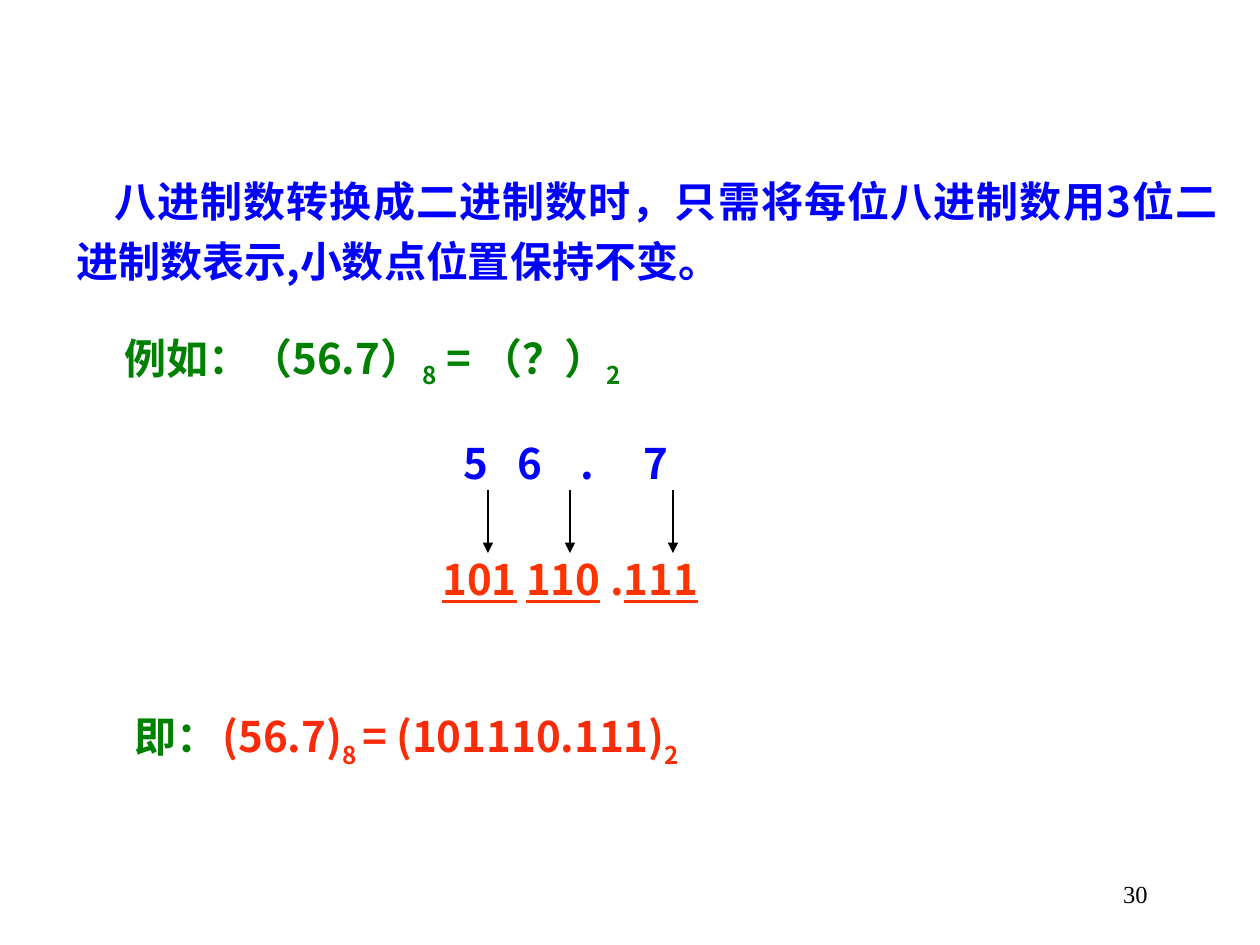
"""Build a slide on converting octal numbers to binary."""
import pptx
import pptx.util
import pptx.dml.color
import pptx.enum.shapes
import pptx.enum.text
import pptx.oxml.ns
from lxml import etree

RGB = pptx.dml.color.RGBColor
BLACK = RGB(0, 0, 0)
BLUE = RGB(0, 0, 255)
GREEN = RGB(0, 128, 0)
ORANGE = RGB(255, 51, 0)
RED = RGB(250, 43, 8)
ALIGN = pptx.enum.text.PP_ALIGN
SANS, SERIF = "Noto Sans CJK SC", "Times New Roman"

SUB_25, SUB_30 = {"baseline": -25000}, {"baseline": -30000}
UNDERLINE = {"underline": True}
RULE = "八进制数转换成二进制数时，只需将每位八进制数用3位二进制数表示,小数点位置保持不变。"

TEXTS = [
    ([("30", {})], (903, 862, 257, 63),
     dict(size=14, font=SERIF, color=BLACK, bold=False, align=ALIGN.RIGHT,
          anchor=pptx.enum.text.MSO_ANCHOR.MIDDLE)),
    ([("5\t6\t.\t7", {})], (442, 431, 451, 63),
     dict(color=BLUE, indent=9, tabs=(62, 104, 128))),
    ([("101", UNDERLINE), (" ", {}), ("110", UNDERLINE), (" .", {}), ("111", UNDERLINE)],
     (421, 547, 451, 63), dict(color=ORANGE, indent=9)),
    ([("即：\t", {"color": GREEN}), ("(56.7)", {}), ("8 ", SUB_30),
      ("= (101110.111)", {}), ("2", SUB_30)],
     (84, 704, 1113, 63), dict(color=RED, indent=38, tabs=(150,))),
    ([("例如：（56.7）", {}), ("8", SUB_25), (" = （？）", {}), ("2", SUB_25)],
     (74, 326, 1113, 63), dict(color=GREEN, indent=38)),
    ([(RULE, {})], (64, 159, 1166, 134), dict(color=BLUE, indent=38, spacing=1.2)),
]
ARROW_XS = (488, 570, 673)
ARROW_TOP, ARROW_BOTTOM = 490, 553


def px(n):
    return pptx.util.Emu(round(n * 914400 / 126))


def sub(parent, tag, **attrs):
    return etree.SubElement(parent, pptx.oxml.ns.qn(tag), **attrs)


def add_text(slide, runs, box, size=24, font=SANS, color=BLACK, bold=True,
             align=ALIGN.JUSTIFY, anchor=pptx.enum.text.MSO_ANCHOR.TOP,
             indent=0, tabs=(), spacing=None):
    sp = slide.shapes.add_textbox(*map(px, box))
    tf = sp.text_frame
    tf.word_wrap = True
    tf.vertical_anchor = anchor
    p = tf.paragraphs[0]
    p.alignment = align
    if spacing:
        p.line_spacing = spacing
    pPr = p._p.get_or_add_pPr()
    pPr.set("marL", "0")
    pPr.set("indent", str(px(indent)))
    if tabs:
        tab_list = sub(pPr, "a:tabLst")
        for tab in tabs:
            sub(tab_list, "a:tab", pos=str(px(tab)), algn="l")
    for text, style in runs:
        r = p.add_run()
        r.text = text
        r.font.size = pptx.util.Pt(size)
        r.font.bold = bold
        r.font.underline = style.get("underline", False)
        r.font.color.rgb = style.get("color", color)
        r.font.name = font
        rPr = r._r.get_or_add_rPr()
        sub(rPr, "a:ea", typeface=font)
        if "baseline" in style:
            rPr.set("baseline", str(style["baseline"]))


def add_arrow(slide, x, top, bottom):
    line = slide.shapes.add_connector(
        pptx.enum.shapes.MSO_CONNECTOR.STRAIGHT, px(x), px(top), px(x), px(bottom))
    line.line.color.rgb = BLACK
    line.line.width = pptx.util.Pt(0.75)
    sub(line.line._get_or_add_ln(), "a:tailEnd", type="triangle")
    sub(line._element.spPr, "a:effectLst")


prs = pptx.Presentation()
prs.slide_width, prs.slide_height = px(1260), px(945)
slide = prs.slides.add_slide(prs.slide_layouts[6])
for x in ARROW_XS:
    add_arrow(slide, x, ARROW_TOP, ARROW_BOTTOM)
for runs, box, style in TEXTS:
    add_text(slide, runs, box, **style)
prs.save("out.pptx")
